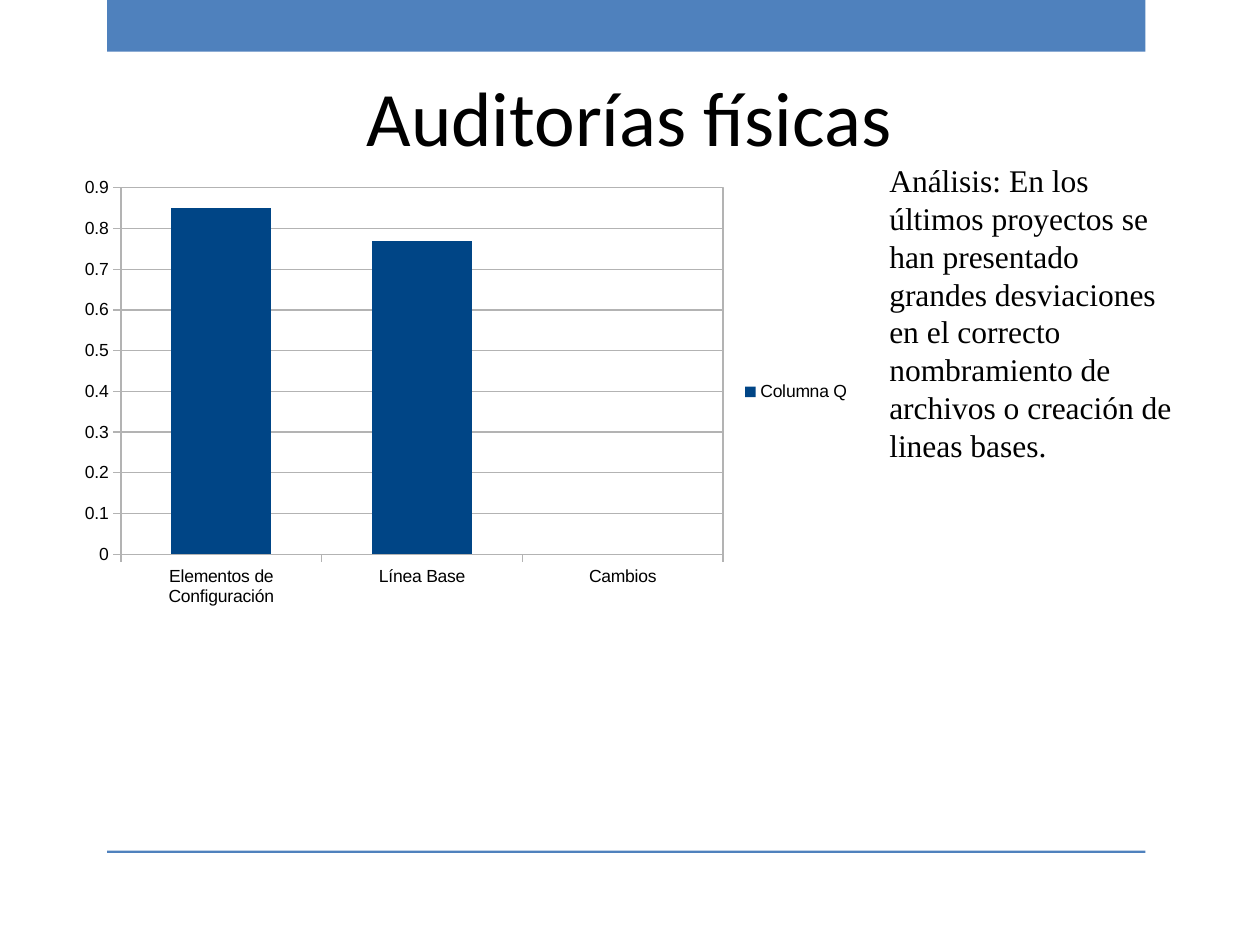
"""Build the physical audits slide with its column chart and analysis."""
from dataclasses import dataclass

import lxml.etree
import pptx
import pptx.chart.data
import pptx.dml.color
import pptx.enum.chart
import pptx.enum.shapes
import pptx.enum.text
import pptx.oxml
import pptx.oxml.ns
import pptx.util

Inches = pptx.util.Inches
Pt = pptx.util.Pt
RGBColor = pptx.dml.color.RGBColor
Align = pptx.enum.text.PP_ALIGN
Anchor = pptx.enum.text.MSO_ANCHOR

BAND_BLUE = RGBColor(0x4F, 0x81, 0xBD)
COLUMN_BLUE = RGBColor(0x00, 0x45, 0x86)
GRID_GREY = RGBColor(0xB3, 0xB3, 0xB3)
BLACK = RGBColor(0, 0, 0)
WHITE = RGBColor(0xFF, 0xFF, 0xFF)


@dataclass(frozen=True)
class Box:
    left: float
    top: float
    width: float
    height: float

    def lengths(self) -> tuple:
        return tuple(Inches(value) for value in (self.left, self.top, self.width, self.height))


BANDS = (Box(0.85, 0, 8.24, 0.41), Box(0.85, 6.75, 8.24, 0.02))
TITLE_BOX = Box(0.5, 0.3, 8.99, 1.24)
ANALYSIS_BOX = Box(6.96, 1.23, 2.5, 3.39)
CHART_BOX = Box(0.55, 1.34, 6.3, 3.54)
PLOT_BOX = Box(0.96, 1.49, 4.78, 2.91)
TITLE = "Auditorías físicas"
ANALYSIS = (
    "Análisis: En los últimos proyectos se han presentado grandes desviaciones "
    "en el correcto nombramiento de archivos o creación de lineas bases."
)
COMPLIANCE = {"Elementos de Configuración": 0.85, "Línea Base": 0.77, "Cambios": None}


def add_band(slide, box: Box) -> None:
    shape = slide.shapes.add_shape(pptx.enum.shapes.MSO_SHAPE.RECTANGLE, *box.lengths())
    shape.shadow.inherit = False
    shape.fill.solid()
    shape.fill.fore_color.rgb = BAND_BLUE
    shape.line.fill.background()


def add_text(slide, text: str, box: Box, *, font: str, size: float,
             align=Align.LEFT, anchor=Anchor.TOP) -> None:
    frame = slide.shapes.add_textbox(*box.lengths()).text_frame
    frame.word_wrap = True
    frame.vertical_anchor = anchor
    paragraph = frame.paragraphs[0]
    paragraph.alignment = align
    run = paragraph.add_run()
    run.text = text
    run.font.name = font
    run.font.size = Pt(size)
    run.font.color.rgb = BLACK


def style_line(line) -> None:
    line.color.rgb = GRID_GREY
    line.width = Pt(0.75)


def style_plot_area(chart) -> None:
    plot_area = chart._chartSpace.chart.plotArea
    for layout in plot_area.findall(pptx.oxml.ns.qn("c:layout")):
        plot_area.remove(layout)
    fractions = {
        "x": (PLOT_BOX.left - CHART_BOX.left) / CHART_BOX.width,
        "y": (PLOT_BOX.top - CHART_BOX.top) / CHART_BOX.height,
        "w": PLOT_BOX.width / CHART_BOX.width,
        "h": PLOT_BOX.height / CHART_BOX.height,
    }
    settings = {"layoutTarget": "inner", "xMode": "edge", "yMode": "edge", **fractions}
    layout = lxml.etree.Element(pptx.oxml.ns.qn("c:layout"))
    manual = lxml.etree.SubElement(layout, pptx.oxml.ns.qn("c:manualLayout"))
    for name, value in settings.items():
        lxml.etree.SubElement(manual, pptx.oxml.ns.qn(f"c:{name}"), val=str(value))
    plot_area.insert(0, layout)
    plot_area.append(pptx.oxml.parse_xml(
        f'<c:spPr {pptx.oxml.ns.nsdecls("c", "a")}><a:noFill/><a:ln w="{Pt(0.75)}">'
        f'<a:solidFill><a:srgbClr val="{GRID_GREY}"/></a:solidFill></a:ln></c:spPr>'
    ))


def add_column_chart(slide, box: Box, values: dict) -> None:
    data = pptx.chart.data.CategoryChartData()
    data.categories = list(values)
    data.add_series("Columna Q", list(values.values()))
    chart = slide.shapes.add_chart(
        pptx.enum.chart.XL_CHART_TYPE.COLUMN_CLUSTERED, *box.lengths(), data).chart
    chart.has_title = False
    chart.font.name = "Arial"
    chart.font.size = Pt(10)
    chart.font.color.rgb = BLACK
    chart.has_legend = True
    chart.legend.position = pptx.enum.chart.XL_LEGEND_POSITION.RIGHT
    chart.legend.include_in_layout = False
    plot = chart.plots[0]
    plot.gap_width = 100
    plot.vary_by_categories = False
    series = plot.series[0]
    series.invert_if_negative = False
    series.format.fill.solid()
    series.format.fill.fore_color.rgb = COLUMN_BLUE
    for axis in (chart.category_axis, chart.value_axis):
        axis.major_tick_mark = pptx.enum.chart.XL_TICK_MARK.OUTSIDE
        axis.minor_tick_mark = pptx.enum.chart.XL_TICK_MARK.NONE
        style_line(axis.format.line)
    value_axis = chart.value_axis
    value_axis.minimum_scale = 0
    value_axis.maximum_scale = 0.9
    value_axis.major_unit = 0.1
    value_axis.tick_labels.number_format = "General"
    value_axis.tick_labels.number_format_is_linked = False
    value_axis.has_major_gridlines = True
    style_line(value_axis.major_gridlines.format.line)
    style_plot_area(chart)


def main() -> None:
    presentation = pptx.Presentation()
    presentation.slide_width = Inches(10)
    presentation.slide_height = Inches(7.5)
    slide = presentation.slides.add_slide(presentation.slide_layouts[6])
    slide.background.fill.solid()
    slide.background.fill.fore_color.rgb = WHITE
    for band in BANDS:
        add_band(slide, band)
    add_text(slide, TITLE, TITLE_BOX, font="Calibri", size=44,
             align=Align.CENTER, anchor=Anchor.MIDDLE)
    add_text(slide, ANALYSIS, ANALYSIS_BOX, font="Times New Roman", size=18)
    add_column_chart(slide, CHART_BOX, COMPLIANCE)
    presentation.save("out.pptx")


if __name__ == "__main__":
    main()
